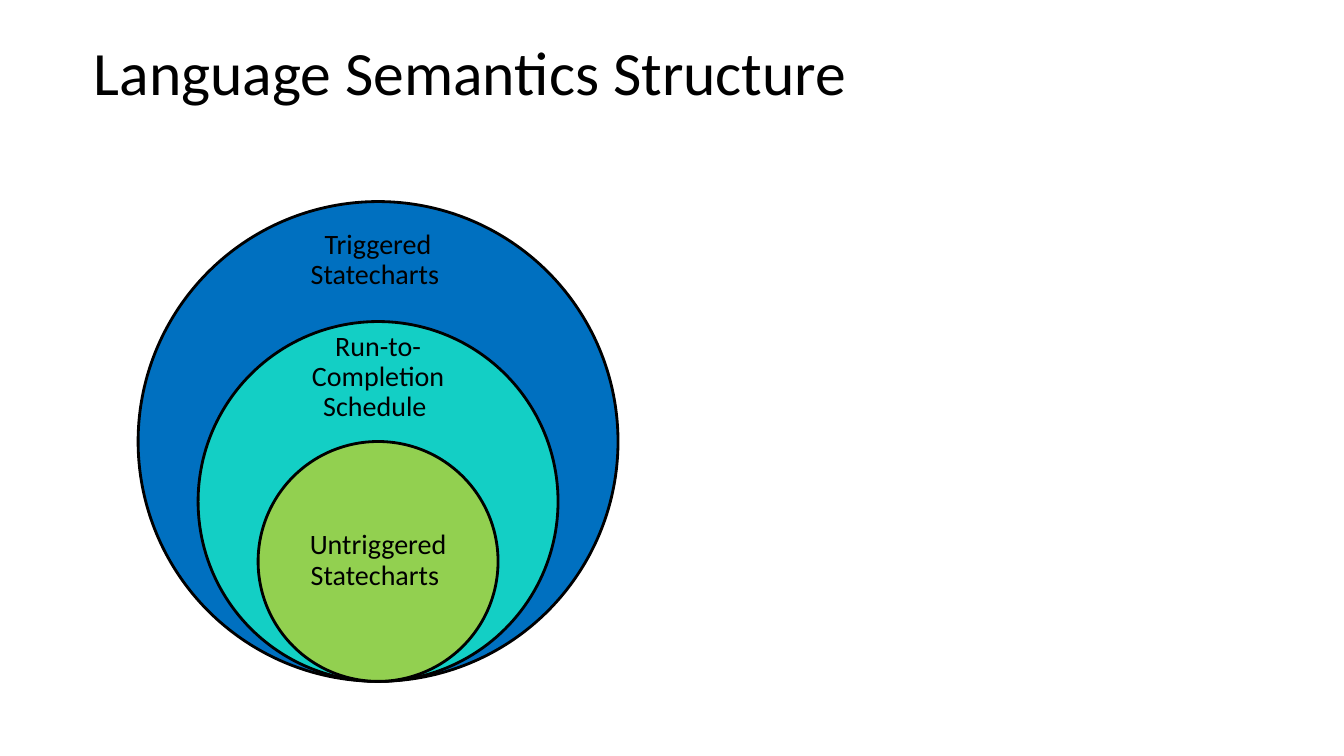
"""Build a slide of nested circles showing the structure of language semantics."""
from dataclasses import dataclass

from pptx import Presentation
from pptx.dml.color import RGBColor
from pptx.enum.shapes import MSO_SHAPE
from pptx.enum.text import MSO_ANCHOR, MSO_AUTO_SIZE, PP_ALIGN
from pptx.shapes.group import GroupShape
from pptx.text.text import TextFrame
from pptx.util import Inches, Pt

OVAL = MSO_SHAPE.OVAL
MIDDLE = MSO_ANCHOR.MIDDLE
NO_AUTOFIT = MSO_AUTO_SIZE.NONE
LEFT, CENTER = PP_ALIGN.LEFT, PP_ALIGN.CENTER

FONT = "Calibri"
BLACK = "000000"
CENTER_X = 3.75
BOTTOM = 6.76
OUTER_DIAMETER = 4.76
LABEL_INSET = 0.16


@dataclass(frozen=True)
class Layer:
    """One circle of the stack, with its label box."""
    label: str
    fill: str
    scale: float
    label_top: float
    label_width: float
    label_height: float


LAYERS = [
    Layer("Triggered Statecharts ", "0070C0", 1, 2.23, 1.66, 0.71),
    Layer("Run-to-Completion Schedule ", "13CFC5", 0.75, 3.41, 1.66, 0.67),
    Layer("Untriggered Statecharts ", "92D050", 0.5, 4.97, 1.68, 1.19),
]


def color(value: str) -> RGBColor:
    """Turn a hex string into a colour."""
    return RGBColor.from_string(value)


def write_text(frame: TextFrame, text: str, size: int, alignment: PP_ALIGN) -> None:
    """Fill a text frame with one formatted paragraph."""
    frame.word_wrap = True
    frame.auto_size = NO_AUTOFIT
    frame.vertical_anchor = MIDDLE
    frame.text = text
    paragraph = frame.paragraphs[0]
    paragraph.alignment = alignment
    paragraph.line_spacing = 0.9
    paragraph.font.name = FONT
    paragraph.font.size = Pt(size)
    paragraph.font.color.rgb = color(BLACK)


def draw_layer(group: GroupShape, layer: Layer) -> None:
    """Draw a circle resting on the common bottom point, then its label."""
    diameter = OUTER_DIAMETER * layer.scale
    circle = group.shapes.add_shape(
        OVAL, Inches(CENTER_X - diameter / 2), Inches(BOTTOM - diameter),
        Inches(diameter), Inches(diameter))
    circle.shadow.inherit = False
    circle.fill.solid()
    circle.fill.fore_color.rgb = color(layer.fill)
    circle.line.color.rgb = color(BLACK)
    circle.line.width = Pt(2)

    label = group.shapes.add_textbox(
        Inches(CENTER_X - layer.label_width / 2), Inches(layer.label_top),
        Inches(layer.label_width), Inches(layer.label_height))
    frame = label.text_frame
    frame.margin_left = frame.margin_right = Inches(LABEL_INSET)
    frame.margin_top = frame.margin_bottom = Inches(LABEL_INSET)
    write_text(frame, layer.label, 20, CENTER)


def main() -> None:
    """Create the presentation and save it."""
    presentation = Presentation()
    presentation.slide_width = Inches(13.33)
    presentation.slide_height = Inches(7.5)
    slide = presentation.slides.add_slide(presentation.slide_layouts[5])

    title = slide.shapes.title
    title.left, title.top = Inches(0.83), Inches(0.02)
    title.width, title.height = Inches(11.5), Inches(1.45)
    write_text(title.text_frame, "Language Semantics Structure", 44, LEFT)

    stack = slide.shapes.add_group_shape()
    for layer in LAYERS:
        draw_layer(stack, layer)

    presentation.save("out.pptx")


if __name__ == "__main__":
    main()
